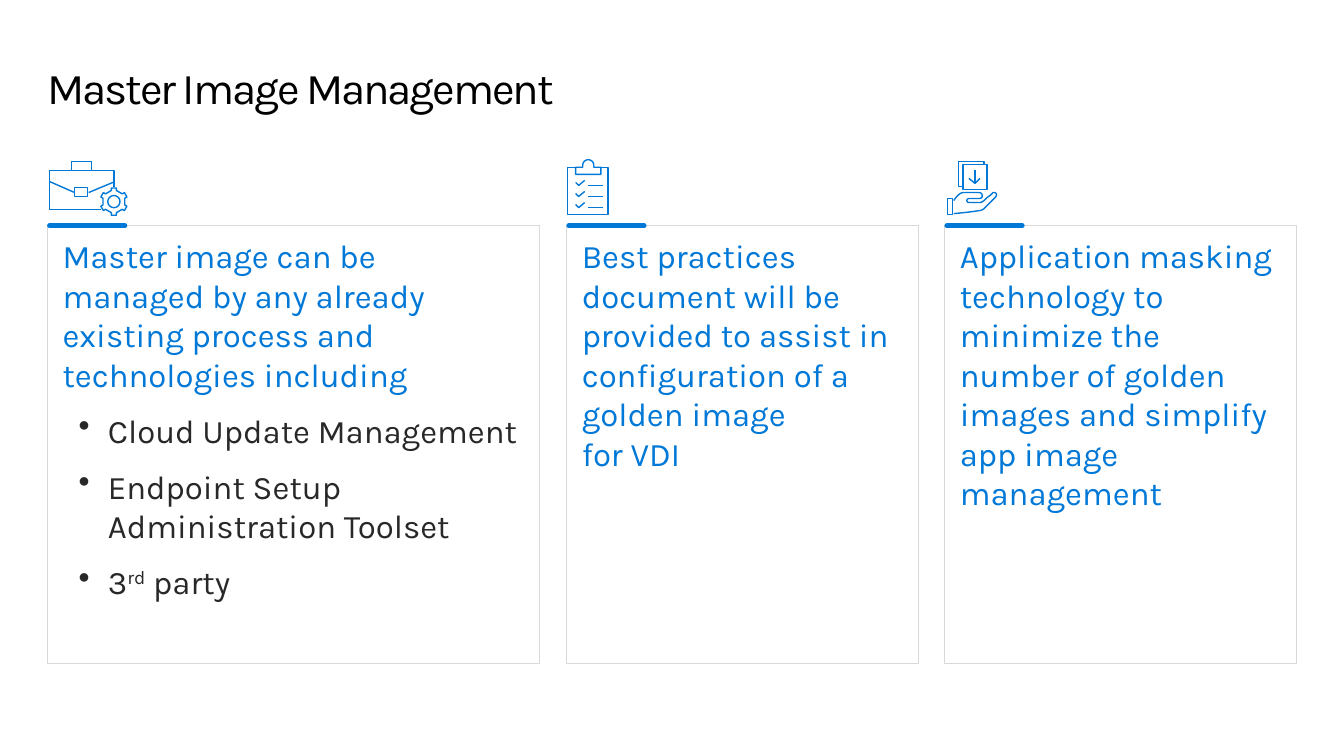
import math

from lxml import etree
from pptx import Presentation
from pptx.dml.color import RGBColor
from pptx.enum import shapes, text
from pptx.oxml import ns
from pptx.util import Inches, Pt

COLORS = {"title": "000000", "blue": "0078D7", "body": "282828", "border": "D9D9D9"}
FONT = "Karla"
BOX_TOP, BOX_HEIGHT = 2.24, 4.34
ICON_RISE = 0.66


def rgb(name):
    return RGBColor.from_string(COLORS[name])


def add_text(p, content, size=23.5, color="blue", spacing=None, baseline=None):
    """Append formatted text to a paragraph; a newline becomes a line break."""
    for i, line in enumerate(content.split("\n")):
        if i:
            p.add_line_break()
        r = p.add_run()
        r.text = line
        r.font.name, r.font.size = FONT, Pt(size)
        r.font.color.rgb = rgb(color)
        for key, value in (("spc", spacing), ("baseline", baseline)):
            if value is not None:
                r._r.get_or_add_rPr().set(key, str(value))


def set_frame(tf, left, top, right, bottom):
    tf.word_wrap = True
    tf.vertical_anchor = text.MSO_ANCHOR.TOP
    tf.margin_left, tf.margin_top = Inches(left), Inches(top)
    tf.margin_right, tf.margin_bottom = Inches(right), Inches(bottom)


def make_bullet(p):
    pPr = p._p.get_or_add_pPr()
    pPr.set("marL", str(Inches(0.45)))
    pPr.set("indent", str(Inches(-0.29)))
    etree.SubElement(pPr, ns.qn("a:buChar")).set("char", "•")


def bezier(points, steps=6):
    """Sample a chain of cubic curves: a start, then three points per curve."""
    result = [points[0]]
    for i in range(0, len(points) - 1, 3):
        for step in range(1, steps + 1):
            t = step / steps
            weights = ((1 - t) ** 3, 3 * t * (1 - t) ** 2, 3 * t * t * (1 - t), t ** 3)
            result.append(tuple(sum(w * pt[axis] for w, pt in zip(weights, points[i:i + 4]))
                                for axis in (0, 1)))
    return result


def arc(cx, cy, radius, start, end, steps=24):
    angles = [math.radians(start + (end - start) * i / steps) for i in range(steps + 1)]
    return [(cx + radius * math.cos(a), cy + radius * math.sin(a)) for a in angles]


def gear(cx, cy, teeth=6):
    outline = []
    for i in range(teeth):
        a = math.tau * i / teeth
        for x, y in ((-2.5, -11), (-2.5, -13.5), (2.5, -13.5), (2.5, -11)):
            outline.append((cx + x * math.cos(a) - y * math.sin(a),
                            cy + x * math.sin(a) + y * math.cos(a)))
    return [outline + outline[:1], arc(cx, cy, 6, 0, 360)]


def briefcase():
    return [
        [(44, 11), (44, 2), (24, 2), (24, 11)],
        [(53, 50), (2, 50), (2, 11), (66, 11), (66, 28)],
        [(40, 28), (27, 28), (27, 37), (40, 37), (40, 28)],
        [(27, 33), (2, 22)],
        [(65, 23), (41, 33)],
    ] + gear(66, 42)


def checklist():
    clip = [(16, 8)] + arc(21.5, 6, 5.5, 180, 360)
    strokes = [
        clip + [(27, 8), (34, 8), (34, 15), (9, 15), (9, 8), (16, 8)],
        [(9, 8), (1, 8), (1, 55), (41, 55), (41, 8), (34, 8)],
    ]
    for y in (26, 37, 48):
        strokes += [[(36, y), (21, y)], [(9, y - 3), (12, y), (18, y - 5)]]
    return strokes


def hand_with_pages():
    hand = [
        (9, 41), (9, 41), (11, 38), (13, 36), (15, 34), (17, 33), (19, 33),
        (24, 33), (29, 33), (34, 33), (35, 33), (37, 34), (37, 35),
        (38, 38), (36, 39), (34, 39), (31, 39), (28, 39), (24, 39),
        (23, 39), (22, 40), (22, 41), (22, 42), (23, 43), (24, 43),
        (28, 43), (31, 43), (35, 43), (36, 43), (38, 42), (39, 41),
        (41, 39), (43, 37), (45, 36), (46, 35), (47, 34), (48, 33),
        (49, 33), (50, 33), (51, 34), (52, 35), (51, 37), (50, 38),
        (48, 40), (46, 42), (44, 44), (43, 45), (41, 47), (39, 49),
        (38, 50), (36, 51), (34, 51), (30, 52), (9, 54), (9, 54),
    ]
    return [
        [(8, 55), (3, 55), (3, 39), (8, 39), (8, 55)],
        bezier(hand),
        [(18, 5), (42, 5), (42, 30), (18, 30), (18, 5)],
        [(18, 27), (14, 27), (14, 2), (39, 2), (39, 5)],
        [(24, 19), (30, 24), (35, 19)],
        [(30, 11), (30, 24)],
    ]


def add_icon(s, left, top, strokes):
    """Draw strokes, given in hundredths of an inch, as one outline."""
    placed = [[(Inches(left + x / 100), Inches(top + y / 100)) for x, y in stroke]
              for stroke in strokes]
    builder = s.shapes.build_freeform(*placed[0][0])
    for i, stroke in enumerate(placed):
        if i:
            builder.move_to(*stroke[0])
        builder.add_line_segments(stroke[1:], close=stroke[0] == stroke[-1])
    sp = builder.convert_to_shape()
    sp.shadow.inherit = False
    sp.fill.background()
    sp.line.color.rgb, sp.line.width = rgb("blue"), Pt(1)


def add_accent(s, left, top):
    bar = s.shapes.add_connector(shapes.MSO_CONNECTOR.STRAIGHT, Inches(left + 0.02),
                                 Inches(top), Inches(left + 0.77), Inches(top))
    bar.line.color.rgb, bar.line.width = rgb("blue"), Pt(3.25)
    bar.line._get_or_add_ln().set("cap", "rnd")
    etree.SubElement(bar._element.spPr, ns.qn("a:effectLst"))


def add_title(s, left, top, width, height, content):
    tf = s.shapes.add_textbox(*map(Inches, (left, top, width, height))).text_frame
    set_frame(tf, 0, 0.18, 0, 0)
    tf.paragraphs[0].line_spacing = 0.9
    add_text(tf.paragraphs[0], content, size=31.4, color="title", spacing=-150)


def add_column(s, left, top, width, height, icon, lead, bullets=()):
    """Each bullet is a list of (text, baseline) parts."""
    sp = s.shapes.add_shape(shapes.MSO_SHAPE.RECTANGLE,
                            *map(Inches, (left, top, width, height)))
    sp.shadow.inherit = False
    sp.fill.background()
    sp.line.color.rgb, sp.line.width = rgb("border"), Pt(0.5)
    tf = sp.text_frame
    set_frame(tf, 0.15, 0.1, 0.15, 0.1)
    p = tf.paragraphs[0]
    p.alignment, p.space_after = text.PP_ALIGN.LEFT, Pt(5.9)
    add_text(p, lead)
    for parts in bullets:
        p = tf.add_paragraph()
        make_bullet(p)
        p.alignment = text.PP_ALIGN.LEFT
        p.space_before = p.space_after = Pt(5.9)
        for content, baseline in parts:
            add_text(p, content, color="body", baseline=baseline)
    add_accent(s, left, top)
    add_icon(s, left, top - ICON_RISE, icon)


def main():
    prs = Presentation()
    prs.slide_width, prs.slide_height = Inches(13.33), Inches(7.5)
    s = prs.slides.add_slide(prs.slide_layouts[6])
    add_title(s, 0.47, 0.48, 12.4, 0.83, "Master Image Management")
    tools = [
        [("Cloud Update Management", None)],
        [("Endpoint Setup Administration Toolset", None)],
        [("3", None), ("rd", 30000), (" party", None)],
    ]
    columns = [
        (0.47, 4.88, briefcase(), "Master image can be managed by any already "
         "existing process and technologies including", tools),
        (5.62, 3.49, checklist(), "Best practices document will be provided to assist in "
         "configuration of a golden image\nfor VDI", ()),
        (9.37, 3.49, hand_with_pages(), "Application masking technology to minimize the "
         "number of golden images and simplify app image management", ()),
    ]
    for left, width, icon, lead, bullets in columns:
        add_column(s, left, BOX_TOP, width, BOX_HEIGHT, icon, lead, bullets)
    prs.save("out.pptx")


if __name__ == "__main__":
    main()
